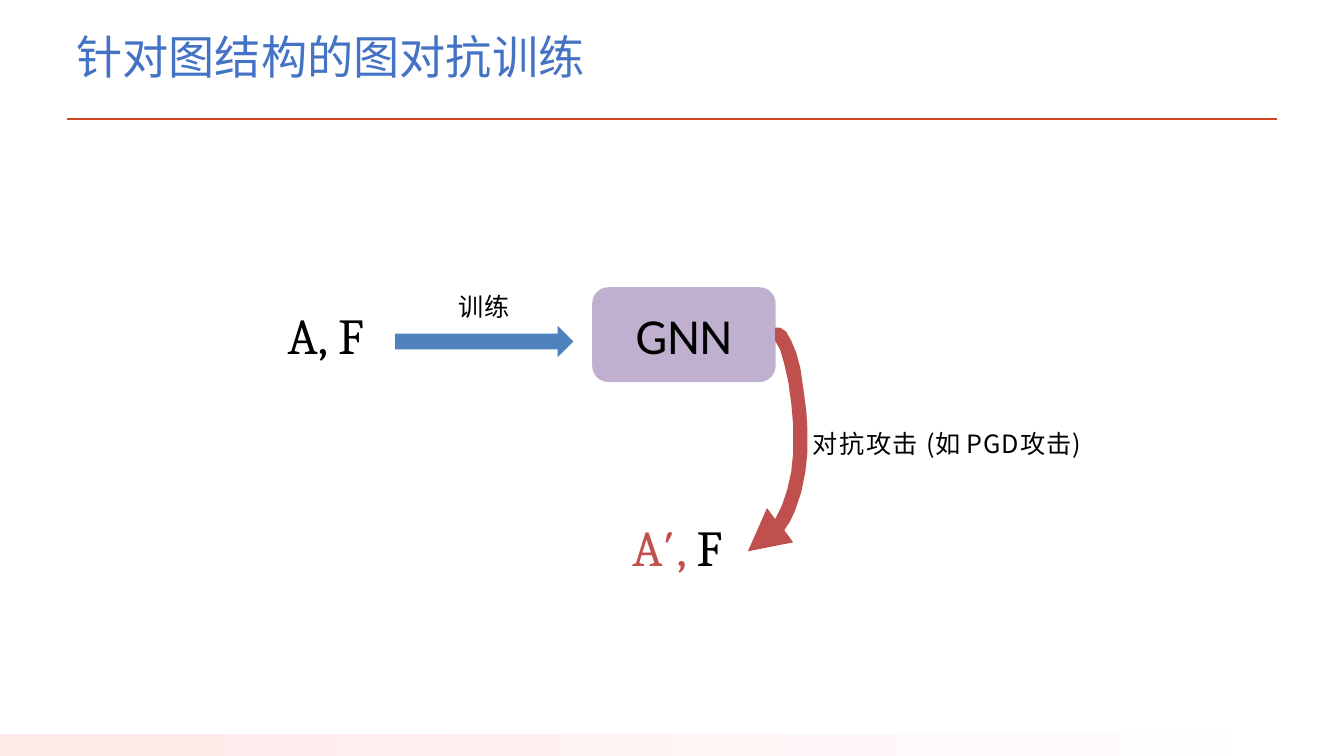
from dataclasses import dataclass

from lxml.etree import SubElement
from pptx import Presentation
from pptx.dml.color import RGBColor
from pptx.enum.shapes import MSO_CONNECTOR as Connector, MSO_SHAPE as Shape
from pptx.enum.text import MSO_ANCHOR as Anchor, MSO_AUTO_SIZE as AutoSize, PP_ALIGN as Align
from pptx.oxml.ns import qn
from pptx.util import Pt

BLACK, RED, BLUE, PURPLE = "000000", "C0504D", "4F81BC", "8063A1"
CJK, SERIF, SANS = "Noto Sans CJK TC", "Cambria", "Calibri"


@dataclass(frozen=True)
class Piece:
    text: str
    spacing: float = 0
    color: str = BLACK


@dataclass(frozen=True)
class Label:
    left: float
    top: float
    width: float
    height: float
    pieces: tuple[Piece, ...]
    font: str
    size: float


LABELS = (
    Label(204.5, 217.4, 60.5, 44.6, (Piece("A, ", 0.1), Piece("F", 2.6)), SERIF, 36),
    Label(326.9, 208, 38.2, 21.6, (Piece("训练"),), CJK, 18),
    Label(450.7, 368.6, 71.3, 44,
          (Piece("A", 0.1, RED), Piece("′", 1.3, RED), Piece(", ", 0.1, RED), Piece("F", 2.6)),
          SERIF, 36),
    Label(579.6, 306, 254, 21.6,
          (Piece("对抗攻击 ", 1.1), Piece("(如 ", -0.1), Piece("PGD攻击)", 0.8)), CJK, 18),
)

ATTACK_OUTER_EDGE = (
    (553.7, 234), (557.3, 234), (561.6, 236.9), (565.2, 243.4), (568.8, 252),
    (571.7, 262.8), (573.8, 277.2), (576, 293.8), (576.7, 305.3), (576.7, 324),
    (575.3, 337), (572.4, 351.4), (568.1, 364.3), (564.5, 372.2), (560.2, 378.7),
)
ATTACK_HEAD = ((566.6, 387.4), (534.2, 393.8), (547.9, 362.9), (553.7, 370.8))
ATTACK_INNER_EDGE = (
    (558.7, 360.7), (562.3, 349.9), (565.2, 337), (566.6, 323.3), (566.6, 303.8),
    (565.2, 288), (563, 272.2), (560.2, 259.9), (557.3, 249.8), (553.7, 243.4),
)


def rgb(value: str) -> RGBColor:
    return RGBColor.from_string(value)


def write(frame, pieces: tuple[Piece, ...], *, font: str, size: float,
          align=Align.LEFT, anchor=Anchor.TOP, line_spacing: float = 1) -> None:
    frame.word_wrap = True
    frame.vertical_anchor = anchor
    paragraph = frame.paragraphs[0]
    paragraph.alignment = align
    paragraph.line_spacing = line_spacing
    for piece in pieces:
        run = paragraph.add_run()
        run.text = piece.text
        run.font.size = Pt(size)
        run.font.color.rgb = rgb(piece.color)
        run.font.name = font
        properties = run._r.get_or_add_rPr()
        properties.set("spc", str(round(piece.spacing * 100)))
        SubElement(properties, qn("a:ea")).set("typeface", font)


def add_label(slide, label: Label) -> None:
    box = slide.shapes.add_textbox(Pt(label.left), Pt(label.top), Pt(label.width), Pt(label.height))
    frame = box.text_frame
    frame.margin_left = Pt(1)
    frame.margin_top = frame.margin_right = frame.margin_bottom = 0
    write(frame, label.pieces, font=label.font, size=label.size)
    frame.auto_size = AutoSize.SHAPE_TO_FIT_TEXT


def paint(shape, color: str):
    shape.shadow.inherit = False
    shape.line.fill.background()
    shape.fill.solid()
    shape.fill.fore_color.rgb = rgb(color)
    return shape


def add_block(slide, kind, left: float, top: float, width: float, height: float, color: str):
    return paint(slide.shapes.add_shape(kind, Pt(left), Pt(top), Pt(width), Pt(height)), color)


def add_footer_band(slide) -> None:
    band = add_block(slide, Shape.RECTANGLE, 0, 524.2, 960, 15.8, "FFFFFF")
    band.fill.gradient()
    band.fill.gradient_angle = 0
    for stop, color, position in zip(band.fill.gradient_stops, ("FFE8E8", "FFFFFF"), (0, 1)):
        stop.color.rgb = rgb(color)
        stop.position = position


def add_title_rule(slide) -> None:
    rule = slide.shapes.add_connector(Connector.STRAIGHT, Pt(47.8), Pt(85), Pt(912.2), Pt(85))
    rule.line.color.rgb = rgb("D24726")
    rule.line.width = Pt(2)
    SubElement(rule._element.spPr, qn("a:effectLst"))


def add_gnn(slide) -> None:
    gnn = add_block(slide, Shape.ROUNDED_RECTANGLE, 423, 205.2, 131, 67.7, PURPLE)
    gnn.adjustments[0] = 0.17
    color = gnn.fill._xPr.find(qn("a:solidFill")).find(qn("a:srgbClr"))
    SubElement(color, qn("a:alpha")).set("val", "50000")
    write(gnn.text_frame, (Piece("GNN", -0.1),), font=SANS, size=36,
          align=Align.CENTER, anchor=Anchor.MIDDLE)


def add_attack_arrow(slide) -> None:
    start, *rest = [(Pt(x), Pt(y)) for x, y in ATTACK_OUTER_EDGE + ATTACK_HEAD + ATTACK_INNER_EDGE]
    builder = slide.shapes.build_freeform(*start)
    builder.add_line_segments(rest, close=True)
    paint(builder.convert_to_shape(), RED)


def add_title(slide) -> None:
    title = slide.shapes.add_textbox(Pt(47.5), 0, Pt(828), Pt(85))
    write(title.text_frame, (Piece("针对图结构的图对抗训练", color="4472C4"),),
          font=CJK, size=33, anchor=Anchor.MIDDLE, line_spacing=0.9)


def main() -> None:
    deck = Presentation()
    deck.slide_width, deck.slide_height = Pt(960), Pt(540)
    slide = deck.slides.add_slide(deck.slide_layouts[6])
    add_footer_band(slide)
    add_title_rule(slide)
    add_block(slide, Shape.RIGHT_ARROW, 282.2, 232.8, 127.4, 22.4, BLUE)
    add_gnn(slide)
    add_attack_arrow(slide)
    for label in LABELS:
        add_label(slide, label)
    add_title(slide)
    deck.save("out.pptx")


if __name__ == "__main__":
    main()
